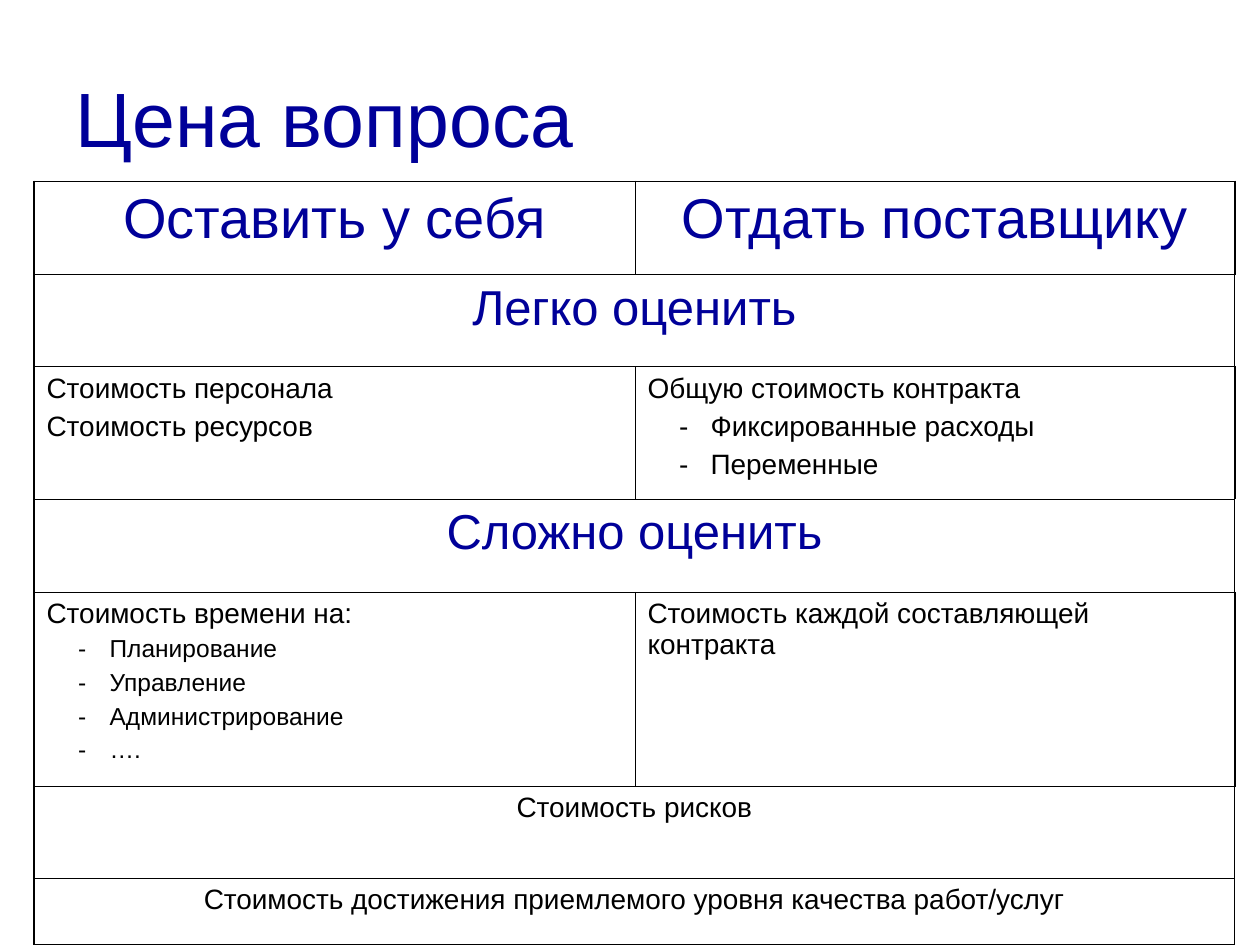
from lxml.etree import SubElement
from pptx import Presentation
from pptx.dml.color import RGBColor
from pptx.enum.text import MSO_ANCHOR, PP_ALIGN
from pptx.oxml.ns import qn
from pptx.util import Inches, Pt

NAVY = RGBColor(0x00, 0x00, 0x99)
BLACK = RGBColor(0x00, 0x00, 0x00)
FONT = "Arial"
OUTER, INNER = Pt(1.08), Pt(0.45)
COLS = [4.77, 4.76]
ROWS = [0.74, 0.73, 1.05, 0.74, 1.54, 0.73, 0.53]

# Each row: text size, colour, alignment, cells; a single cell spans the row.
# Each cell: its lead lines, its dashed items, the size of the items.
CONTENT = [
    (32, NAVY, PP_ALIGN.CENTER, [(["Оставить у себя"], [], 0),
                                 (["Отдать поставщику"], [], 0)]),
    (28, NAVY, PP_ALIGN.CENTER, [(["Легко оценить"], [], 0)]),
    (16, BLACK, PP_ALIGN.LEFT, [
        (["Стоимость персонала", "Стоимость ресурсов"], [], 0),
        (["Общую стоимость контракта"],
         ["Фиксированные расходы", "Переменные"], 16)]),
    (28, NAVY, PP_ALIGN.CENTER, [(["Сложно оценить"], [], 0)]),
    (16, BLACK, PP_ALIGN.LEFT, [
        (["Стоимость времени на:"],
         ["Планирование", "Управление", "Администрирование", "…."], 14),
        (["Стоимость каждой составляющей контракта"], [], 0)]),
    (16, BLACK, PP_ALIGN.CENTER, [(["Стоимость рисков"], [], 0)]),
    (16, BLACK, PP_ALIGN.CENTER, [
        (["Стоимость достижения приемлемого уровня качества работ/услуг"], [], 0)]),
]


def add_run(p, text, size, color):
    r = p.add_run()
    r.text = text
    r.font.name = FONT
    r.font.size = Pt(size)
    r.font.color.rgb = color


def add_border(cell, side, width):
    ln = SubElement(cell._tc.get_or_add_tcPr(), qn(f"a:ln{side}"), w=str(width))
    SubElement(SubElement(ln, qn("a:solidFill")), qn("a:srgbClr"), val=str(BLACK))


prs = Presentation()
prs.slide_width, prs.slide_height = Inches(10), Inches(7.5)
s = prs.slides.add_slide(prs.slide_layouts[5])

title = s.shapes.title
title.left, title.top = Inches(0.5), Inches(0.3)
title.width, title.height = Inches(9), Inches(1.25)
tf = title.text_frame
tf.vertical_anchor = MSO_ANCHOR.MIDDLE
p = tf.paragraphs[0]
p.alignment = PP_ALIGN.LEFT
add_run(p, "Цена вопроса", 44, NAVY)

table = s.shapes.add_table(len(ROWS), len(COLS), Inches(0.27), Inches(1.44),
                           Inches(sum(COLS)), Inches(sum(ROWS))).table
table.first_row = table.horz_banding = False
for column, width in zip(table.columns, COLS):
    column.width = Inches(width)
for row, height in zip(table.rows, ROWS):
    row.height = Inches(height)

for i, (size, color, align, cells) in enumerate(CONTENT):
    for j in range(len(COLS)):
        cell = table.cell(i, j)
        add_border(cell, "L", OUTER if j == 0 else INNER)
        add_border(cell, "R", OUTER if j == len(COLS) - 1 else INNER)
        add_border(cell, "T", OUTER if i == 0 else INNER)
        add_border(cell, "B", OUTER if i == len(ROWS) - 1 else INNER)
        cell.fill.background()
    if len(cells) == 1:
        table.cell(i, 0).merge(table.cell(i, 1))
    for j, (leads, items, item_size) in enumerate(cells):
        tf = table.cell(i, j).text_frame
        lines = [(t, size, False) for t in leads] + [(t, item_size, True) for t in items]
        for n, (text, pts, dashed) in enumerate(lines):
            p = tf.add_paragraph() if n else tf.paragraphs[0]
            p.alignment = align
            if n:
                p.space_before = Pt(pts / 4)
            if dashed:
                p.level = 1
                pPr = p._p.get_or_add_pPr()
                pPr.set("marL", str(Inches(0.5)))
                pPr.set("indent", str(Inches(-0.25)))
                SubElement(SubElement(pPr, qn("a:buClr")), qn("a:srgbClr"), val=str(BLACK))
                SubElement(pPr, qn("a:buFont"), typeface=FONT)
                SubElement(pPr, qn("a:buChar"), char="-")
            add_run(p, text, pts, color)

prs.save("out.pptx")
